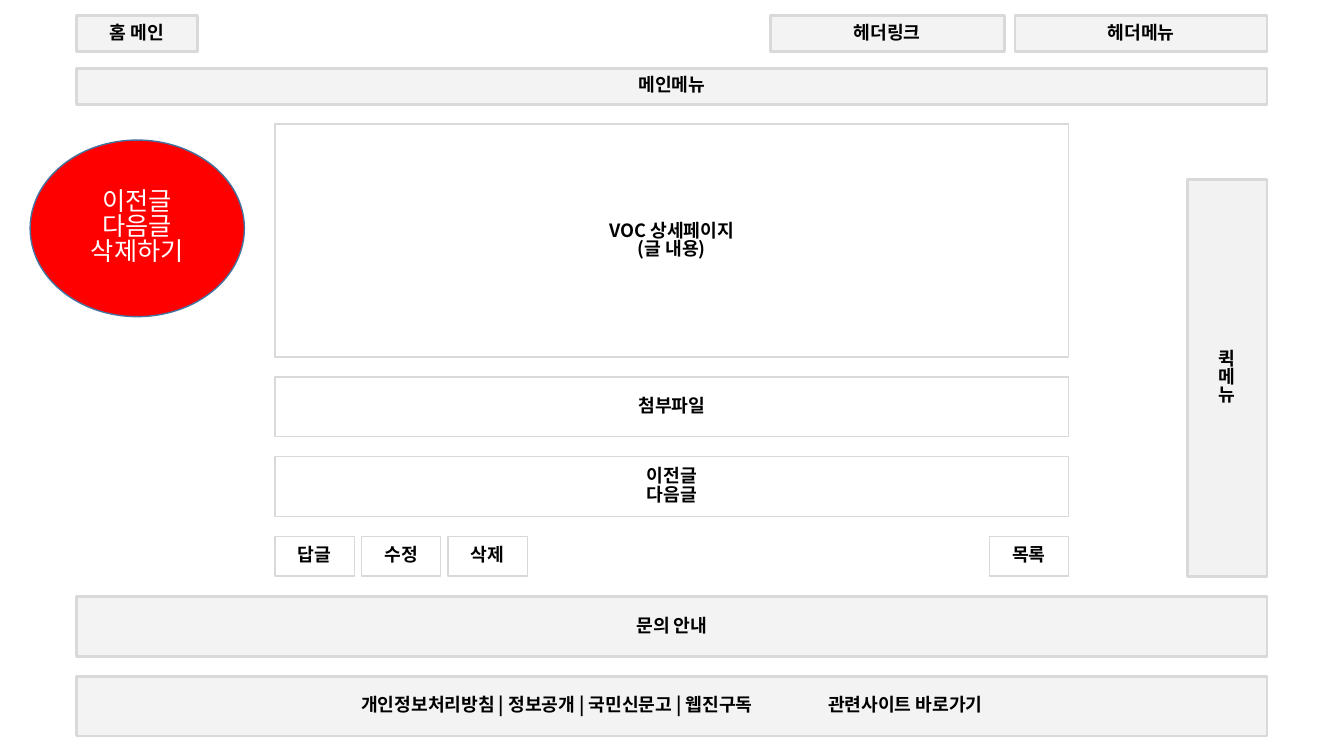
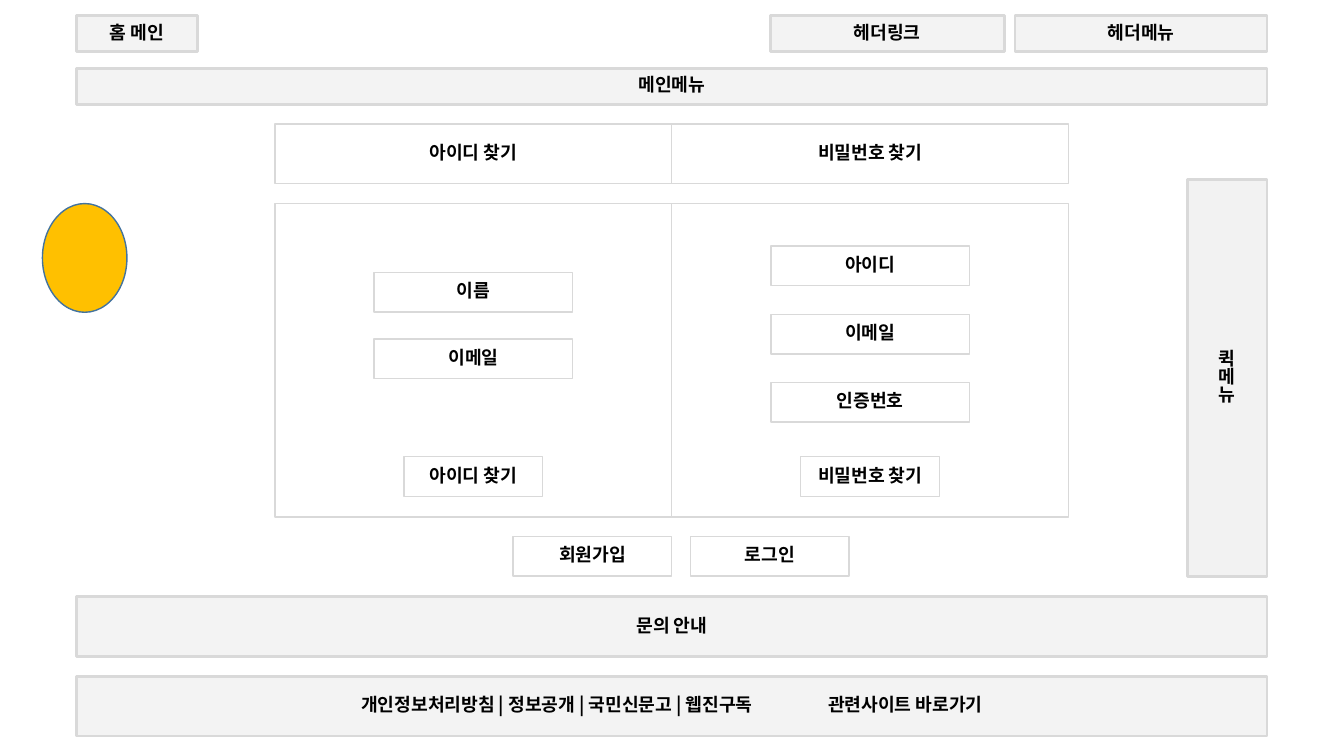
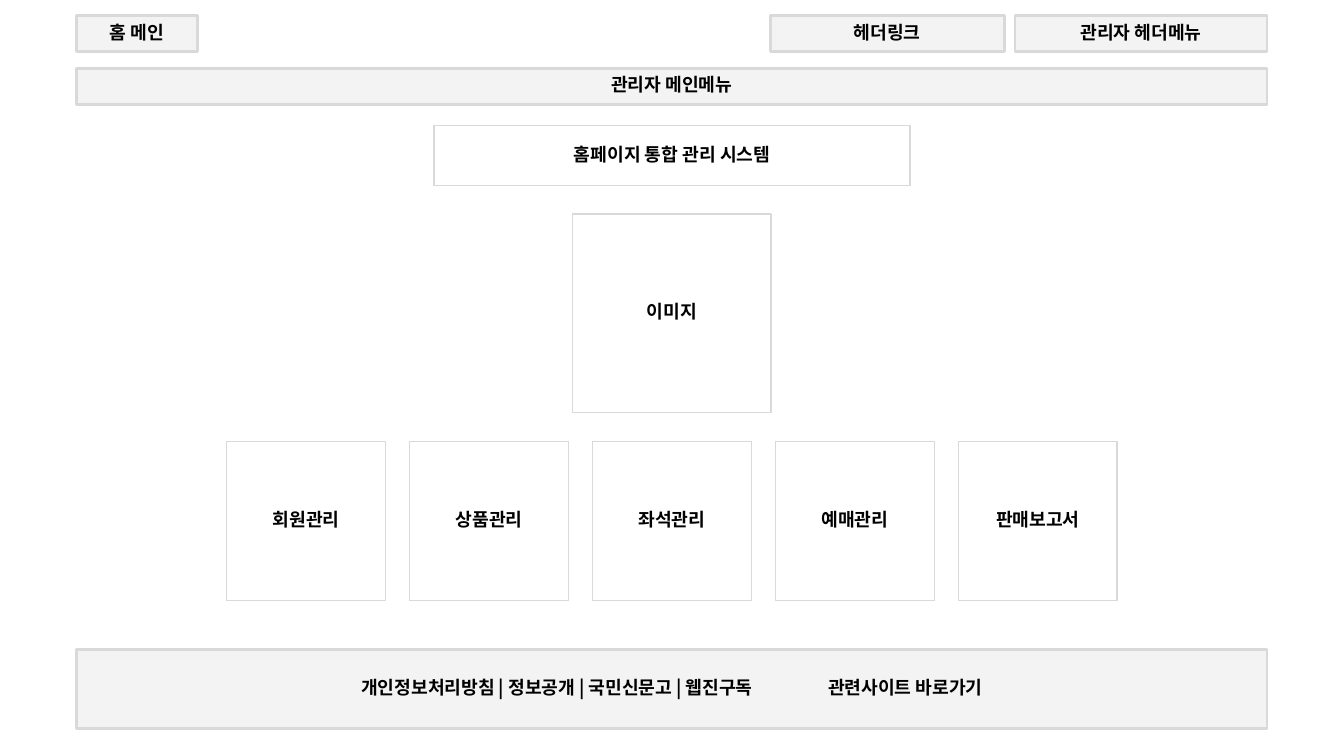
from dataclasses import dataclass

from lxml.etree import SubElement
from pptx import Presentation
from pptx.dml.color import RGBColor
from pptx.enum.shapes import MSO_SHAPE as Preset
from pptx.enum.text import MSO_ANCHOR as Anchor, PP_ALIGN as Align
from pptx.oxml.ns import qn
from pptx.util import Cm, Pt


@dataclass(frozen=True)
class Theme:
    font: str = "Noto Sans CJK KR"
    text: str = "000000"
    light: str = "FFFFFF"
    border: str = "D9D9D9"
    band: str = "D9D9D9"
    side: str = "BFBFBF"
    marker_border: str = "43739E"
    red: str = "FF0000"
    amber: str = "FFC000"
    label_size: int = 13
    marker_size: int = 18
    line_spacing: float = 0.83


PAGE_WIDTH, PAGE_HEIGHT = 33.87, 19.05
CENTER = PAGE_WIDTH / 2
LEFT, WIDTH = 1.93, 30
BODY_LEFT, BODY_WIDTH = 6.93, 20
HALF = BODY_WIDTH / 2
BODY_TOP, BUTTON_TOP = 3.13, 13.52
FOOTER_LINKS = "개인정보처리방침 | 정보공개 | 국민신문고 | 웹진구독"
FOOTER_SITES = "관련사이트 바로가기"
FOOTER_GAP = 51


class Wireframe:
    """Draws website wireframe pages in one shared style."""

    def __init__(self, theme):
        self.theme = theme
        self.deck = Presentation()
        self.deck.slide_width = Cm(PAGE_WIDTH)
        self.deck.slide_height = Cm(PAGE_HEIGHT)
        self.page = None

    def new_page(self, prefix=""):
        self.page = self.deck.slides.add_slide(self.deck.slide_layouts[6])
        self.band(LEFT, 0.4, 3.05, 0.9, "홈 메인")
        self.band(19.41, 0.4, 5.9, 0.9, "헤더링크")
        self.band(25.58, 0.4, 6.35, 0.9, prefix + "헤더메뉴")
        self.band(LEFT, 1.73, WIDTH, 0.9, prefix + "메인메뉴")

    def shape(self, preset, left, top, width, height, fill, border, weight):
        box = self.page.shapes.add_shape(
            preset, Cm(left), Cm(top), Cm(width), Cm(height))
        box.shadow.inherit = False
        box.fill.solid()
        box.fill.fore_color.rgb = RGBColor.from_string(fill)
        box.line.color.rgb = RGBColor.from_string(border)
        box.line.width = Pt(weight)
        return box

    def span(self, para, text, size, color, bold):
        span = para.add_run()
        span.text = text
        formats = {"name": self.theme.font, "size": Pt(size), "bold": bold}
        for name, value in formats.items():
            setattr(span.font, name, value)
        span.font.color.rgb = RGBColor.from_string(color)
        east_asian = SubElement(span.font._element, qn("a:ea"))
        east_asian.set("typeface", self.theme.font)
        return span

    def paragraphs(self, box, lines, size, color, bold):
        frame = box.text_frame
        frame.word_wrap = True
        frame.vertical_anchor = Anchor.MIDDLE
        for index, line in enumerate(lines):
            para = frame.add_paragraph() if index else frame.paragraphs[0]
            para.alignment = Align.CENTER
            para.line_spacing = self.theme.line_spacing
            self.span(para, line, size, color, bold)

    def label(self, box, lines):
        self.paragraphs(box, lines, self.theme.label_size, self.theme.text, True)

    def panel(self, left, top, width, height, *lines):
        theme = self.theme
        box = self.shape(Preset.RECTANGLE, left, top, width, height,
                         theme.light, theme.border, 1)
        self.label(box, lines)

    def band(self, left, top, width, height, *lines, fill=None, opacity=30):
        theme = self.theme
        box = self.shape(Preset.RECTANGLE, left, top, width, height,
                         fill or theme.band, theme.border, 2)
        color = box._element.spPr.find(qn("a:solidFill"))[0]
        SubElement(color, qn("a:alpha")).set("val", str(opacity * 1000))
        self.label(box, lines)
        return box

    def marker(self, left, top, width, height, fill, *lines):
        theme = self.theme
        box = self.shape(Preset.OVAL, left, top, width, height,
                         fill, theme.marker_border, 1)
        self.paragraphs(box, lines, theme.marker_size, theme.light, False)

    def inquiry_and_quick_menu(self):
        self.band(LEFT, 15.04, WIDTH, 1.5, "문의 안내")
        self.band(29.93, 4.53, 2, 10, "퀵", "메", "뉴",
                  fill=self.theme.side, opacity=20)

    def footer(self, top=17.05, height=1.5):
        box = self.band(LEFT, top, WIDTH, height, FOOTER_LINKS)
        para = box.text_frame.paragraphs[0]
        style = (self.theme.label_size, self.theme.text, True)
        gap = self.span(para, " ", *style)
        gap.font._element.set("spc", str(FOOTER_GAP * 100))
        self.span(para, FOOTER_SITES, *style)


def detail_page(site):
    site.new_page()
    site.inquiry_and_quick_menu()
    site.footer()
    site.panel(BODY_LEFT, BODY_TOP, BODY_WIDTH, 5.87, "VOC 상세페이지", "(글 내용)")
    site.panel(BODY_LEFT, 9.5, BODY_WIDTH, 1.5, "첨부파일")
    site.panel(BODY_LEFT, 11.51, BODY_WIDTH, 1.5, "이전글", "다음글")
    for index, name in enumerate(("답글", "수정", "삭제")):
        site.panel(BODY_LEFT + index * 2.18, BUTTON_TOP, 2, 1, name)
    site.panel(BODY_LEFT + BODY_WIDTH - 2, BUTTON_TOP, 2, 1, "목록")
    site.marker(0.76, 3.53, 5.4, 4.45, site.theme.red, "이전글 다음글 삭제하기")


def account_page(site):
    site.new_page()
    site.inquiry_and_quick_menu()
    site.footer()
    forms = (
        ("아이디 찾기", 6.86, 1.68, ("이름", "이메일")),
        ("비밀번호 찾기", 6.2, 1.72, ("아이디", "이메일", "인증번호")),
    )
    for column, (title, top, pitch, fields) in enumerate(forms):
        left = BODY_LEFT + column * HALF
        site.panel(left, BODY_TOP, HALF, 1.5, title)
        site.panel(left, 5.13, HALF, 7.9)
        for row, field in enumerate(fields):
            site.panel(left + 2.5, top + row * pitch, 5, 1, field)
        site.panel(left + 3.25, 11.51, 3.5, 1, title)
    for left, name in ((12.93, "회원가입"), (17.4, "로그인")):
        site.panel(left, BUTTON_TOP, 4, 1, name)
    site.marker(1.07, 5.13, 2.13, 2.74, site.theme.amber)


def admin_page(site):
    site.new_page("관리자 ")
    site.footer(16.36, 2)
    site.panel(CENTER - 6, 3.17, 12, 1.5, "홈페이지 통합 관리 시스템")
    site.panel(CENTER - 2.5, 5.39, 5, 5, "이미지")
    tiles = ("회원관리", "상품관리", "좌석관리", "예매관리", "판매보고서")
    size, pitch = 4, 4.61
    first = CENTER - ((len(tiles) - 1) * pitch + size) / 2
    for index, name in enumerate(tiles):
        site.panel(first + index * pitch, 11.13, size, size, name)


def main():
    site = Wireframe(Theme())
    for draw in (detail_page, account_page, admin_page):
        draw(site)
    site.deck.save("out.pptx")


if __name__ == "__main__":
    main()
